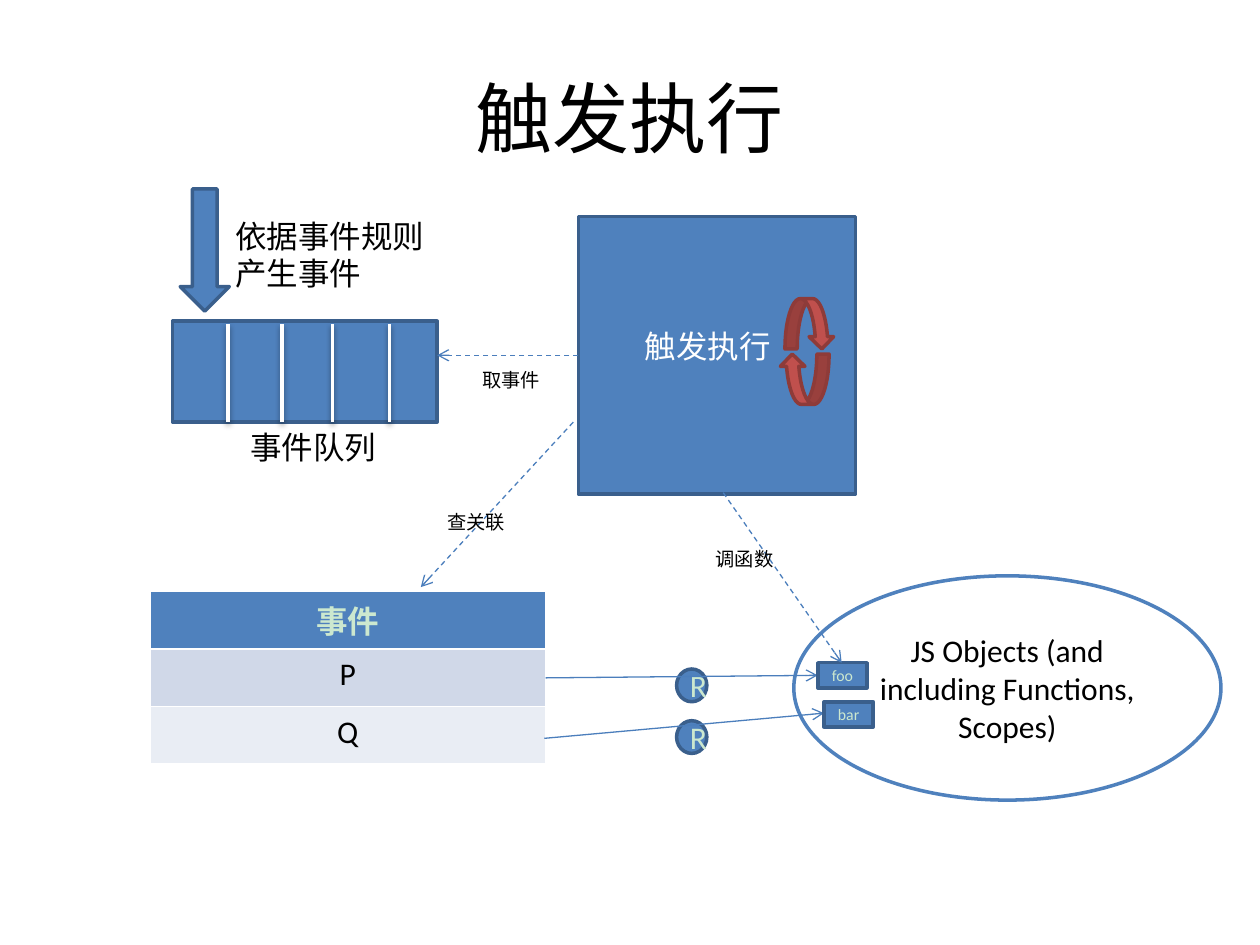
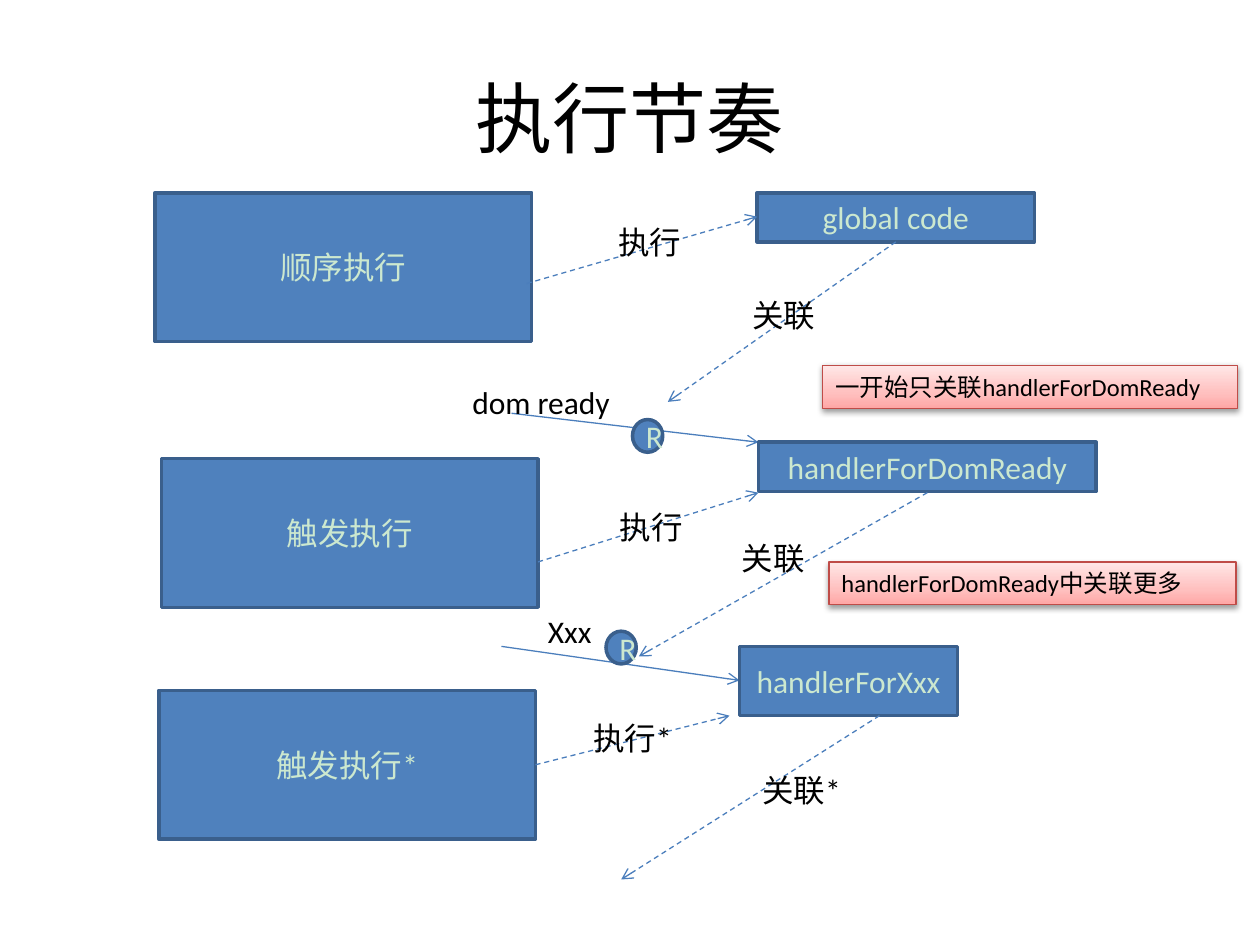
import pptx
import pptx.util
import pptx.dml.color
import pptx.enum.dml
import pptx.enum.shapes
import pptx.enum.text
import pptx.oxml
import pptx.oxml.ns
import lxml.etree

Inches, Pt = pptx.util.Inches, pptx.util.Pt
RGBColor = pptx.dml.color.RGBColor
SHAPE = pptx.enum.shapes.MSO_SHAPE
ANCHOR = pptx.enum.text.MSO_ANCHOR
ALIGN = pptx.enum.text.PP_ALIGN
qn = pptx.oxml.ns.qn

# Shared look
FONT = "Calibri"
BLACK = RGBColor(0x00, 0x00, 0x00)
WHITE = RGBColor(0xFF, 0xFF, 0xFF)
MINT = RGBColor(0xCC, 0xE8, 0xCF)
BLUE = RGBColor(0x4F, 0x81, 0xBD)
DARK_BLUE = RGBColor(0x3A, 0x5F, 0x8C)
LINK_BLUE = RGBColor(0x4B, 0x7E, 0xBC)
RED = RGBColor(0xC0, 0x50, 0x4D)
DARK_RED = RGBColor(0x8E, 0x3B, 0x39)
NOTE_RED = RGBColor(0xBF, 0x4C, 0x48)
ROW_DARK = RGBColor(0xD0, 0xD8, 0xE8)
ROW_LIGHT = RGBColor(0xE9, 0xED, 0xF4)
NOTE_STOPS = [(0, "FFA6A5"), (35, "FFC0BF"), (100, "FFE7E7")]

TITLE_AT = (0.5, 0.3, 9, 1.25)
RELATION_SIZE = (0.24, 0.26)
STAGE_SIZE = (2.99, 1.18)
FUNCTION_SIZE = (0.39, 0.2)
NOTE_HEIGHT = 0.34

# Slide 1: triggered execution
TRIGGER = {
    "title": "触发执行",
    "scope": ("JS Objects (and including Functions, Scopes)", (6.3, 4.57, 3.39, 1.78)),
    "relations": [(5.37, 5.31), (5.37, 5.72)],
    "functions": [("foo", (6.49, 5.26)), ("bar", (6.54, 5.57))],
    "table": (["事件", "P", "Q"], (1.19, 4.69, 3.14, 1.37)),
    "engine": (4.59, 1.72, 2.2, 2.2),
    "loop": [((6.23, 2.37, 0.39, 0.4), 0), ((6.19, 2.81, 0.39, 0.4), 180)],
    "queue": (1.37, 2.55, 2.1, 0.8),
    "dividers": [1.81, 2.24, 2.64, 3.09],
    "incoming": (1.43, 1.5, 0.39, 0.97),
    "solid": [((4.33, 5.38), (6.49, 5.36)), ((4.32, 5.86), (6.54, 5.66))],
    "dashed": [
        ((4.59, 2.82), (3.47, 2.82)),
        ((4.55, 3.35), (3.34, 4.66)),
        ((5.74, 3.91), (6.68, 5.26)),
    ],
    # text, place, format
    "labels": [
        ("触发执行", (4.59, 2.55, 2.05, 0.4), {"color": WHITE, "align": ALIGN.CENTER}),
        ("依据事件规则\n产生事件", (1.77, 1.67, 2.16, 0.71), {}),
        ("取事件", (3.73, 2.87, 2.13, 0.29), {"size": 11}),
        ("查关联", (3.45, 4, 2.13, 0.29), {"size": 11}),
        ("调函数", (5.58, 4.29, 1.15, 0.29), {"size": 11}),
        ("事件队列", (1.88, 3.35, 1.21, 0.4), {"align": ALIGN.CENTER, "wrap": False}),
    ],
}

# Slide 2: rhythm of execution
RHYTHM = {
    "title": "执行节奏",
    "stages": [
        ("顺序执行", (1.23, 1.53)),
        ("触发执行", (1.28, 3.64)),
        ("触发执行*", (1.26, 5.48)),
    ],
    "handlers": [
        ("global code", (6.01, 1.53, 2.2, 0.39)),
        ("handlerForDomReady", (6.02, 3.51, 2.68, 0.39)),
        ("handlerForXxx", (5.87, 5.13, 1.73, 0.55)),
    ],
    "relations": [(5.02, 3.33), (4.81, 5.01)],
    "solid": [((4.06, 3.28), (6.02, 3.51)), ((3.98, 5.13), (5.87, 5.4))],
    "dashed": [
        ((4.27, 4.46), (6.02, 3.91)),
        ((7.36, 3.91), (5.07, 5.21)),
        ((4.18, 2.25), (6.01, 1.72)),
        ((7.11, 1.92), (5.3, 3.19)),
        ((4.25, 6.07), (5.79, 5.68)),
        ((6.98, 5.68), (4.93, 6.98)),
    ],
    "labels": [
        ("dom ready", (3.65, 2.99, 1.65, 0.4), {}),
        ("Xxx", (4.25, 4.81, 1.65, 0.4), {}),
        ("执行", (4.81, 1.72, 0.82, 0.4), {}),
        ("执行", (4.82, 3.98, 0.82, 0.4), {}),
        ("关联", (5.87, 2.3, 0.82, 0.4), {}),
        ("关联", (5.79, 4.23, 0.82, 0.4), {}),
        ("执行*", (4.61, 5.66, 1.02, 0.4), {}),
        ("关联*", (5.95, 6.07, 1.16, 0.4), {}),
    ],
    "notes": [
        ("一开始只关联handlerForDomReady", (6.53, 2.9, 3.29)),
        ("handlerForDomReady中关联更多", (6.58, 4.46, 3.23)),
    ],
}


def inches(values):
    return [Inches(value) for value in values]


def write(frame, text, size=18, color=BLACK, align=ALIGN.LEFT,
          anchor=ANCHOR.TOP, wrap=True, bold=False):
    """Fill a text frame, one paragraph for each line of text."""
    frame.word_wrap = wrap
    frame.vertical_anchor = anchor
    look = {"name": FONT, "size": Pt(size), "bold": bold}
    for number, line in enumerate(text.split("\n")):
        para = frame.add_paragraph() if number else frame.paragraphs[0]
        para.alignment = align
        span = para.add_run()
        span.text = line
        for name, value in look.items():
            setattr(span.font, name, value)
        span.font.color.rgb = color


def add_effects(shape, shadow=False):
    """Replace the theme's shadow by a soft one or by none."""
    effects = lxml.etree.SubElement(shape._element.spPr, qn("a:effectLst"))
    if shadow:
        outer = lxml.etree.SubElement(effects, qn("a:outerShdw"), blurRad="40000",
                                      dist="20000", dir="5400000", rotWithShape="0")
        tone = lxml.etree.SubElement(outer, qn("a:srgbClr"), val="000000")
        lxml.etree.SubElement(tone, qn("a:alpha"), val="38000")


def add_box(page, place, text="", kind=SHAPE.RECTANGLE, fill=BLUE, line=DARK_BLUE,
            color=MINT, size=18):
    box = page.shapes.add_shape(kind, *inches(place))
    box.shadow.inherit = False
    box.fill.solid()
    box.fill.fore_color.rgb = fill
    box.line.color.rgb = line
    box.line.width = Pt(2)
    if text:
        write(box.text_frame, text, size, color, ALIGN.CENTER, ANCHOR.MIDDLE)
    return box


def add_note(page, text, left, top, width):
    note = page.shapes.add_shape(SHAPE.RECTANGLE, *inches((left, top, width, NOTE_HEIGHT)))
    stops = "".join(f'<a:gs pos="{position * 1000}"><a:srgbClr val="{tone}"/></a:gs>'
                    for position, tone in NOTE_STOPS)
    gradient = pptx.oxml.parse_xml(
        f'<a:gradFill {pptx.oxml.ns.nsdecls("a")} rotWithShape="1"><a:gsLst>{stops}</a:gsLst>'
        '<a:lin ang="16200000" scaled="0"/></a:gradFill>')
    note._element.spPr.find(qn("a:prstGeom")).addnext(gradient)
    note.line.color.rgb = NOTE_RED
    note.line.width = Pt(0.75)
    add_effects(note, shadow=True)
    write(note.text_frame, text, size=14)


def add_line(page, start, end, color, width):
    line = page.shapes.add_connector(pptx.enum.shapes.MSO_CONNECTOR.STRAIGHT,
                                     *inches(start + end))
    line.line.color.rgb = color
    line.line.width = Pt(width)
    return line


def add_arrows(page, links, dashed=False):
    for start, end in links:
        arrow = add_line(page, start, end, LINK_BLUE, 0.75)
        if dashed:
            arrow.line.dash_style = pptx.enum.dml.MSO_LINE.DASH
        lxml.etree.SubElement(arrow.line._get_or_add_ln(), qn("a:tailEnd"), type="arrow")
        add_effects(arrow)


def add_labels(page, labels):
    for text, place, look in labels:
        box = page.shapes.add_textbox(*inches(place))
        write(box.text_frame, text, **look)


def add_relations(page, corners):
    for corner in corners:
        add_box(page, corner + RELATION_SIZE, "R", SHAPE.OVAL)


def add_event_table(page, rows, place):
    table = page.shapes.add_table(len(rows), 1, *inches(place)).table
    for number, text in enumerate(rows):
        header = number == 0
        cell = table.cell(number, 0)
        cell.fill.solid()
        cell.fill.fore_color.rgb = BLUE if header else (ROW_LIGHT, ROW_DARK)[number % 2]
        write(cell.text_frame, text, color=MINT if header else BLACK,
              align=ALIGN.CENTER, bold=header)


def add_page(deck, title):
    page = deck.slides.add_slide(deck.slide_layouts[5])
    page.background.fill.solid()
    page.background.fill.fore_color.rgb = WHITE
    box = page.shapes.title
    box.left, box.top, box.width, box.height = inches(TITLE_AT)
    write(box.text_frame, title, 44, align=ALIGN.CENTER, anchor=ANCHOR.MIDDLE)
    return page


def build_trigger(deck):
    part = TRIGGER
    page = add_page(deck, part["title"])
    # Objects, relations and the event table
    text, place = part["scope"]
    add_box(page, place, text, SHAPE.OVAL, WHITE, BLUE, BLACK)
    add_relations(page, part["relations"])
    add_event_table(page, *part["table"])
    add_arrows(page, part["solid"])
    for text, corner in part["functions"]:
        add_box(page, corner + FUNCTION_SIZE, text, size=9)
    # Engine with its loop
    add_box(page, part["engine"])
    for place, angle in part["loop"]:
        turn = add_box(page, place, kind=SHAPE.CURVED_DOWN_ARROW, fill=RED, line=DARK_RED)
        turn.rotation = angle
    # Event queue
    add_box(page, part["queue"])
    add_box(page, part["incoming"], kind=SHAPE.DOWN_ARROW)
    add_arrows(page, part["dashed"], dashed=True)
    add_labels(page, part["labels"])
    for x in part["dividers"]:
        divider = add_line(page, (x, 2.57), (x, 3.35), WHITE, 2)
        add_effects(divider, shadow=True)


def build_rhythm(deck):
    part = RHYTHM
    page = add_page(deck, part["title"])
    add_arrows(page, part["solid"])
    for text, corner in part["stages"]:
        add_box(page, corner + STAGE_SIZE, text)
    for text, place in part["handlers"]:
        add_box(page, place, text)
    add_relations(page, part["relations"])
    add_arrows(page, part["dashed"], dashed=True)
    add_labels(page, part["labels"])
    for text, place in part["notes"]:
        add_note(page, text, *place)


def main():
    deck = pptx.Presentation()
    deck.slide_width, deck.slide_height = inches((10, 7.5))
    build_trigger(deck)
    build_rhythm(deck)
    deck.save("out.pptx")


if __name__ == "__main__":
    main()
